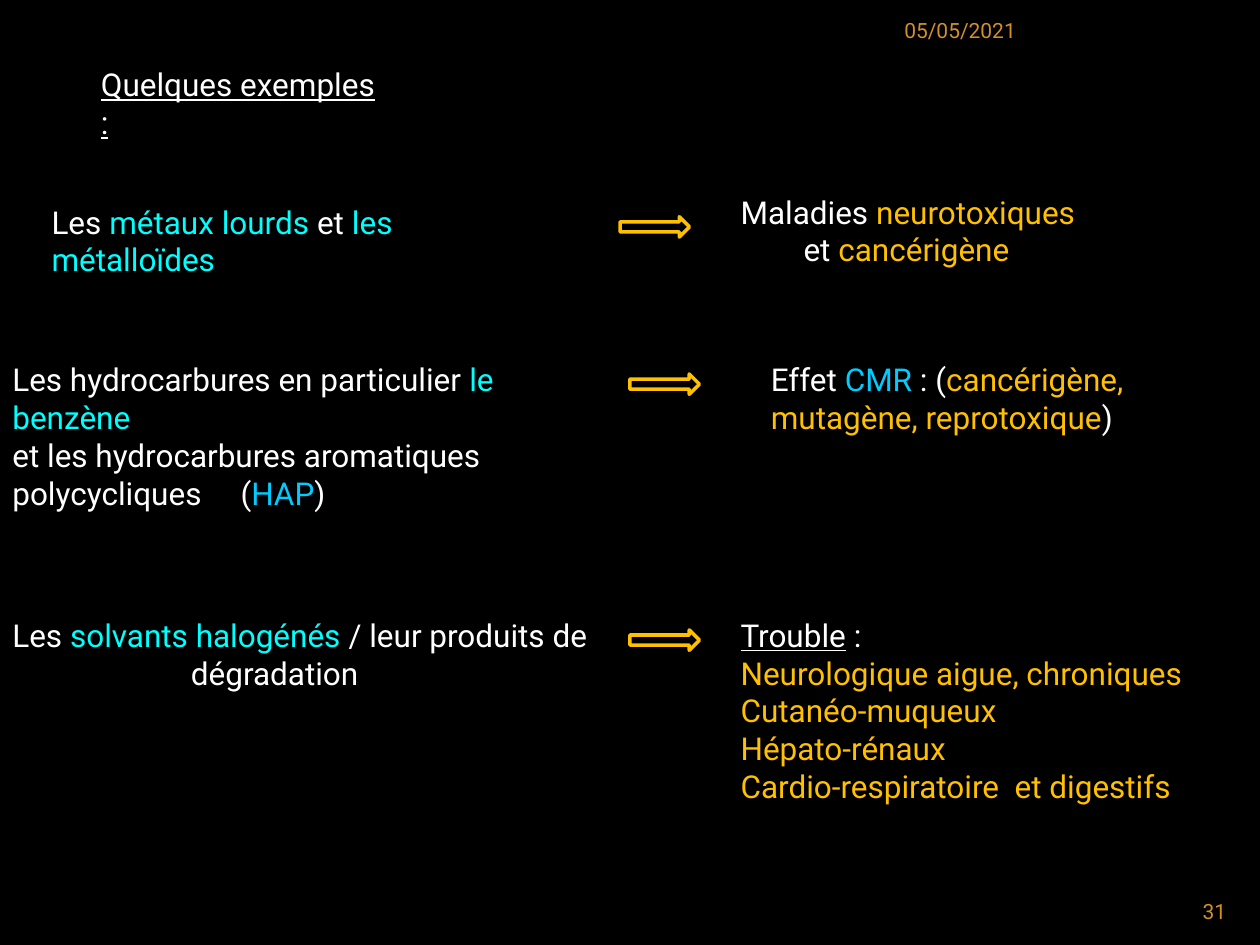
from dataclasses import dataclass

from lxml import etree
from pptx import Presentation
from pptx.dml.color import RGBColor
from pptx.enum.shapes import MSO_SHAPE
from pptx.enum.text import MSO_ANCHOR, MSO_AUTO_SIZE, PP_ALIGN
from pptx.oxml.ns import qn
from pptx.util import Cm, Pt

RIGHT_ARROW = MSO_SHAPE.RIGHT_ARROW
TOP, MIDDLE = MSO_ANCHOR.TOP, MSO_ANCHOR.MIDDLE
LEFT, RIGHT = PP_ALIGN.LEFT, PP_ALIGN.RIGHT
TITLE_ONLY = 5


@dataclass(frozen=True)
class Theme:
    font: str = "Roboto"
    body: int = 18
    small: int = 12
    line: int = 2
    background: str = "000000"
    text: str = "FFFFFF"
    source: str = "00FFFF"
    acronym: str = "00CCFF"
    effect: str = "FFC000"
    footer: str = "D48F29"


THEME = Theme()


@dataclass(frozen=True)
class Span:
    text: str
    color: str = THEME.text
    underline: bool = False
    size: int = THEME.body


@dataclass(frozen=True)
class Line:
    spans: tuple
    indent: float = 0
    tab: float = 0
    align: int = LEFT


def line(*spans, **layout):
    return Line(spans, **layout)


def source(text):
    return Span(text, THEME.source)


def acronym(text):
    return Span(text, THEME.acronym)


def effect(text):
    return Span(text, THEME.effect)


def place(shape, left, top, width, height):
    shape.left, shape.top = Cm(left), Cm(top)
    shape.width, shape.height = Cm(width), Cm(height)


def write_line(para, content):
    para.alignment = content.align
    properties = para._p.get_or_add_pPr()
    if content.indent:
        properties.set("marL", str(Cm(content.indent)))
        properties.set("indent", "0")
    if content.tab:
        tabs = etree.SubElement(properties, qn("a:tabLst"))
        etree.SubElement(tabs, qn("a:tab"), pos=str(Cm(content.tab)), algn="l")
    for span in content.spans:
        run = para.add_run()
        run.text = span.text
        run.font.name = THEME.font
        run.font.size = Pt(span.size)
        run.font.color.rgb = RGBColor.from_string(span.color)
        run.font.underline = span.underline


def fill_text(box, lines, anchor=TOP):
    frame = box.text_frame
    frame.word_wrap = True
    frame.auto_size = MSO_AUTO_SIZE.NONE
    frame.vertical_anchor = anchor
    for index, content in enumerate(lines):
        para = frame.add_paragraph() if index else frame.paragraphs[0]
        write_line(para, content)


def add_text(page, bounds, lines, anchor=TOP):
    box = page.shapes.add_textbox(*map(Cm, bounds))
    fill_text(box, lines, anchor)


def add_arrow(page, left, top):
    arrow = page.shapes.add_shape(RIGHT_ARROW, Cm(left), Cm(top), Cm(1.4), Cm(0.41))
    arrow.shadow.inherit = False
    arrow.fill.background()
    arrow.line.color.rgb = RGBColor.from_string(THEME.effect)
    arrow.line.width = Pt(THEME.line)


def main():
    deck = Presentation()
    deck.slide_width, deck.slide_height = Cm(25.4), Cm(19.05)
    page = deck.slides.add_slide(deck.slide_layouts[TITLE_ONLY])
    page.background.fill.solid()
    page.background.fill.fore_color.rgb = RGBColor.from_string(THEME.background)

    # Title
    title = page.shapes.title
    place(title, 1.78, 1.19, 6.1, 1.02)
    fill_text(title, [line(Span("Quelques exemples :", underline=True))])

    # Date and page number
    date = Span("05/05/2021", THEME.footer, size=THEME.small)
    number = Span("31", THEME.footer, size=THEME.small)
    add_text(page, (17.98, 0.2, 6.99, 0.81), [line(date)], MIDDLE)
    add_text(page, (22.86, 17.98, 2.11, 0.69), [line(number, align=RIGHT)])

    # Heavy metals
    add_text(page, (0.79, 3.96, 10.39, 1.02), [
        line(Span("Les "), source("métaux lourds "), Span("et "), source("les métalloïdes")),
    ])
    add_arrow(page, 12.5, 4.37)
    add_text(page, (14.68, 3.76, 12.7, 1.8), [
        line(Span("Maladies "), effect("neurotoxiques")),
        line(Span("et "), effect("cancérigène"), indent=1.27),
    ])

    # Hydrocarbons
    add_text(page, (0, 7.14, 12.7, 2.57), [
        line(Span("Les hydrocarbures en particulier "), source("le benzène")),
        line(Span("et les hydrocarbures aromatiques polycycliques\t("),
             acronym("HAP"), Span(")"), tab=4.6),
    ])
    add_arrow(page, 12.7, 7.54)
    add_text(page, (15.29, 7.14, 8.33, 1.8), [
        line(Span("Effet "), acronym("CMR"), Span(" : ("), effect("cancérigène,")),
        line(effect("mutagène, reprotoxique"), Span(")")),
    ])

    # Halogenated solvents
    add_text(page, (0, 12.29, 12.7, 1.8), [
        line(Span("Les "), source("solvants halogénés"), Span(" / leur produits de")),
        line(Span("dégradation"), indent=3.6),
    ])
    add_arrow(page, 12.7, 12.7)
    disorders = ("Neurologique aigue, chroniques", "Cutanéo-muqueux",
                 "Hépato-rénaux", "Cardio-respiratoire  et digestifs")
    add_text(page, (14.68, 12.29, 10.72, 4.11), [
        line(Span("Trouble", underline=True), Span(" :")),
        *(line(effect(disorder)) for disorder in disorders),
    ])

    deck.save("out.pptx")


if __name__ == "__main__":
    main()
